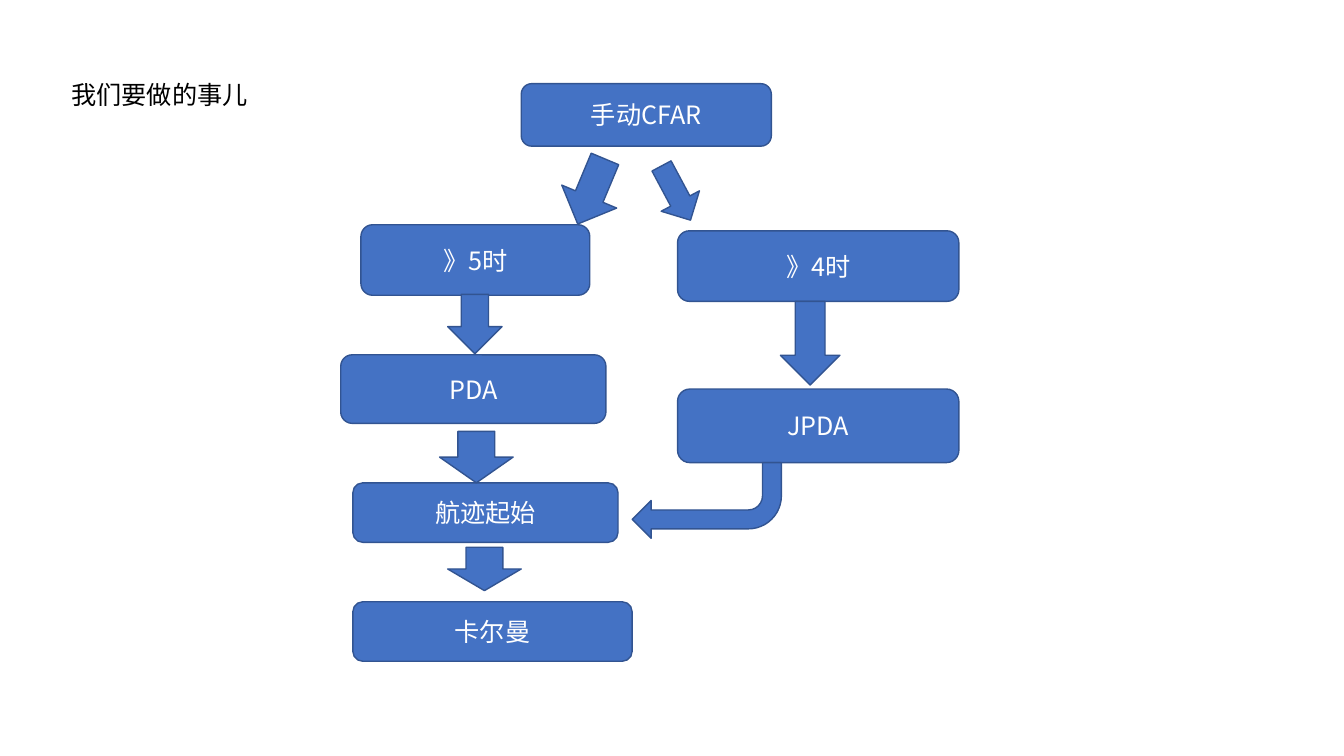
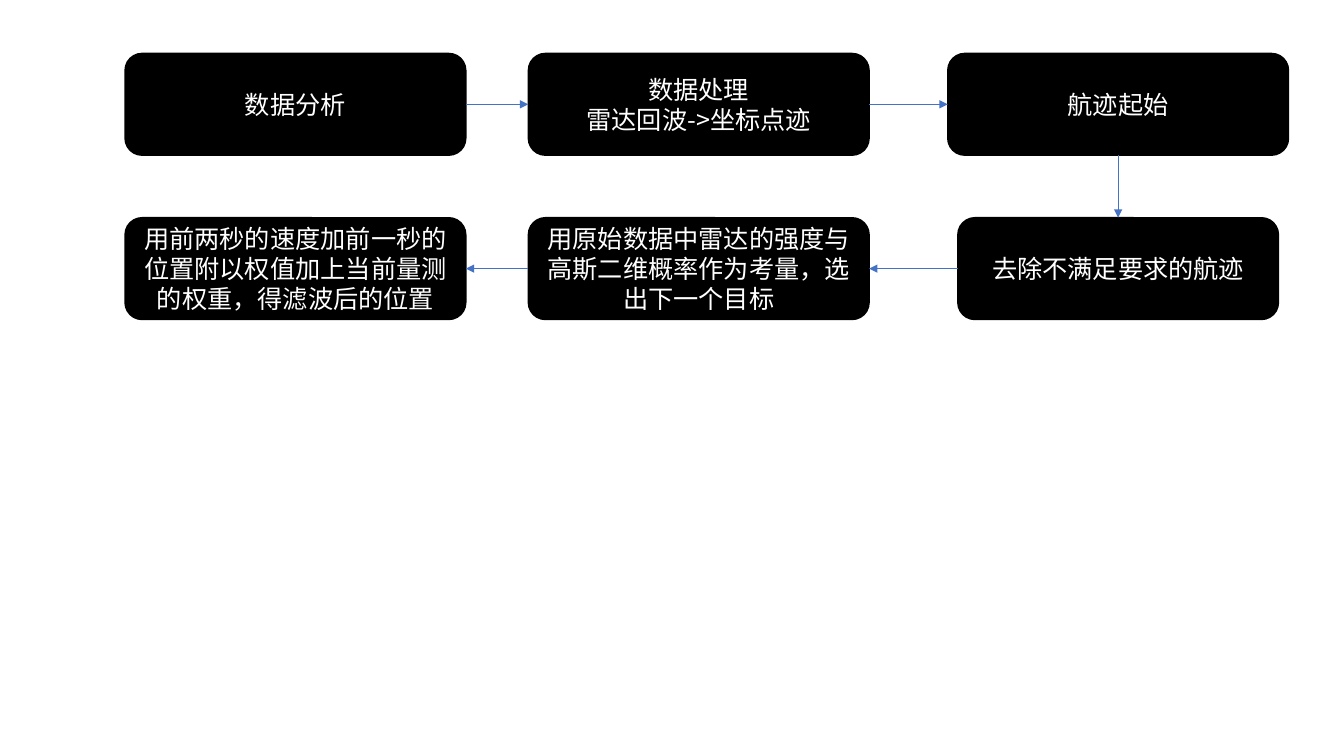
from lxml import etree
from pptx import Presentation, util as u
from pptx.dml.color import RGBColor
from pptx.enum import shapes, text
from pptx.oxml.ns import qn

PX = 9144
FONT = "Noto Sans CJK SC"
BLUE = RGBColor(0x44, 0x72, 0xC4)
NAVY = RGBColor(0x32, 0x54, 0x91)
BLACK = RGBColor(0, 0, 0)
WHITE = RGBColor(255, 255, 255)
KIND = shapes.MSO_SHAPE
TOP, LEFT, BOTTOM, RIGHT = range(4)

TITLE = "我们要做的事儿"
STEPS = [
    ("手动CFAR", (517, 83, 248, 62)),
    ("》5时", (358, 223, 227, 70)),
    ("》4时", (672, 229, 279, 70)),
    ("PDA", (338, 352, 263, 68)),
    ("JPDA", (672, 386, 279, 73)),
    ("航迹起始", (350, 479, 263, 59)),
    ("卡尔曼", (350, 597, 277, 59)),
]
ARROWS = [
    (KIND.DOWN_ARROW, (649, 161, 43, 61), 331.9),
    (KIND.DOWN_ARROW, (557, 155, 59, 70), 22.7),
    (KIND.DOWN_ARROW, (444, 292, 54, 59), 0),
    (KIND.DOWN_ARROW, (774, 299, 59, 83), 0),
    (KIND.DOWN_ARROW, (436, 428, 73, 51), 0),
    (KIND.DOWN_ARROW, (444, 543, 73, 43), 0),
    (KIND.BENT_ARROW, (627, 459, 148, 75), 180),
]

COLS = [(124, 338), (524, 338), (940, 338)]
LAST = (950, 318)
ROWS = [53, 216]
HIGH = 101
FLOW = [
    ("数据分析", COLS[0], ROWS[0]),
    ("数据处理\n雷达回波->坐标点迹", COLS[1], ROWS[0]),
    ("航迹起始", COLS[2], ROWS[0]),
    ("去除不满足要求的航迹", LAST, ROWS[1]),
    ("用原始数据中雷达的强度与高斯二维概率作为考量，选出下一个目标", COLS[1], ROWS[1]),
    ("用前两秒的速度加前一秒的位置附以权值加上当前量测的权重，得滤波后的位置", COLS[0], ROWS[1]),
]
LINKS = [(RIGHT, LEFT), (RIGHT, LEFT), (BOTTOM, TOP), (LEFT, RIGHT), (LEFT, RIGHT)]


def scale(rect):
    return [u.Emu(n * PX) for n in rect]


def write(frame, words, color, align):
    frame.word_wrap = True
    frame.text = words
    for para in frame.paragraphs:
        para.alignment = align
        font = para.font
        font.size = u.Pt(18)
        font.color.rgb = color
        font.name = FONT
        etree.SubElement(font._element, qn("a:ea"), typeface=FONT)


def draw(slide, kind, rect, fill, edge):
    shape = slide.shapes.add_shape(kind, *scale(rect))
    shape.shadow.inherit = False
    shape.fill.solid()
    shape.fill.fore_color.rgb = fill
    shape.line.color.rgb = edge
    shape.line.width = u.Pt(1)
    return shape


def box(slide, words, rect, fill, edge):
    shape = draw(slide, KIND.ROUNDED_RECTANGLE, rect, fill, edge)
    shape.text_frame.vertical_anchor = text.MSO_ANCHOR.MIDDLE
    write(shape.text_frame, words, WHITE, text.PP_ALIGN.CENTER)
    return shape


def link(slide, start, end, sides):
    line = slide.shapes.add_connector(shapes.MSO_CONNECTOR.STRAIGHT, 0, 0, 0, 0)
    line.begin_connect(start, sides[0])
    line.end_connect(end, sides[1])
    line.line.color.rgb = BLUE
    line.line.width = u.Pt(0.5)
    etree.SubElement(line.line._get_or_add_ln(), qn("a:tailEnd"), type="triangle")
    etree.SubElement(line._element.spPr, qn("a:effectLst"))


def plan(slide):
    title = slide.shapes.add_textbox(*scale((61, 74, 563, 40)))
    write(title.text_frame, TITLE, BLACK, text.PP_ALIGN.LEFT)
    for words, rect in STEPS:
        box(slide, words, rect, BLUE, NAVY)
    for kind, rect, turn in ARROWS:
        draw(slide, kind, rect, BLUE, NAVY).rotation = turn


def flow(slide):
    boxes = [box(slide, words, (left, top, wide, HIGH), BLACK, BLACK)
             for words, (left, wide), top in FLOW]
    for start, end, sides in zip(boxes, boxes[1:], LINKS):
        link(slide, start, end, sides)


def main():
    deck = Presentation()
    deck.slide_width, deck.slide_height = scale((1333, 750))
    for build in (plan, flow):
        build(deck.slides.add_slide(deck.slide_layouts[6]))
    deck.save("out.pptx")


if __name__ == "__main__":
    main()
